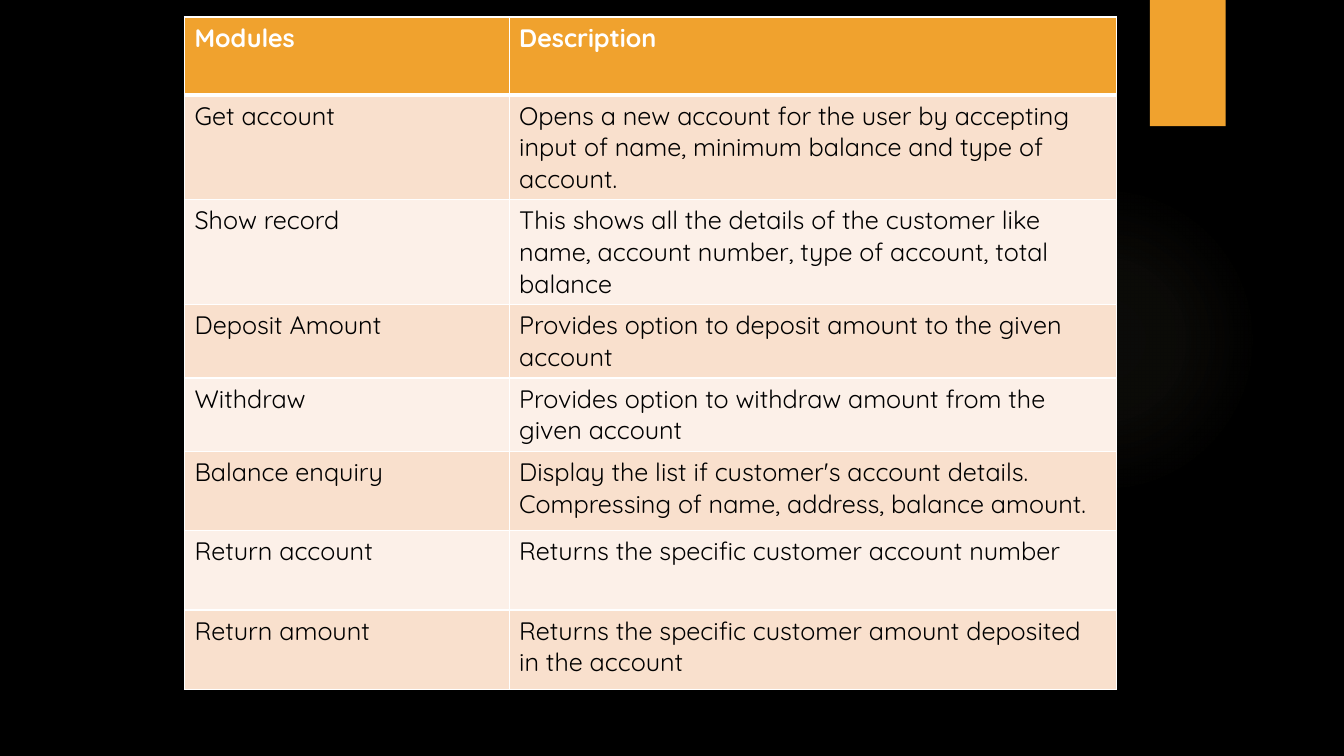
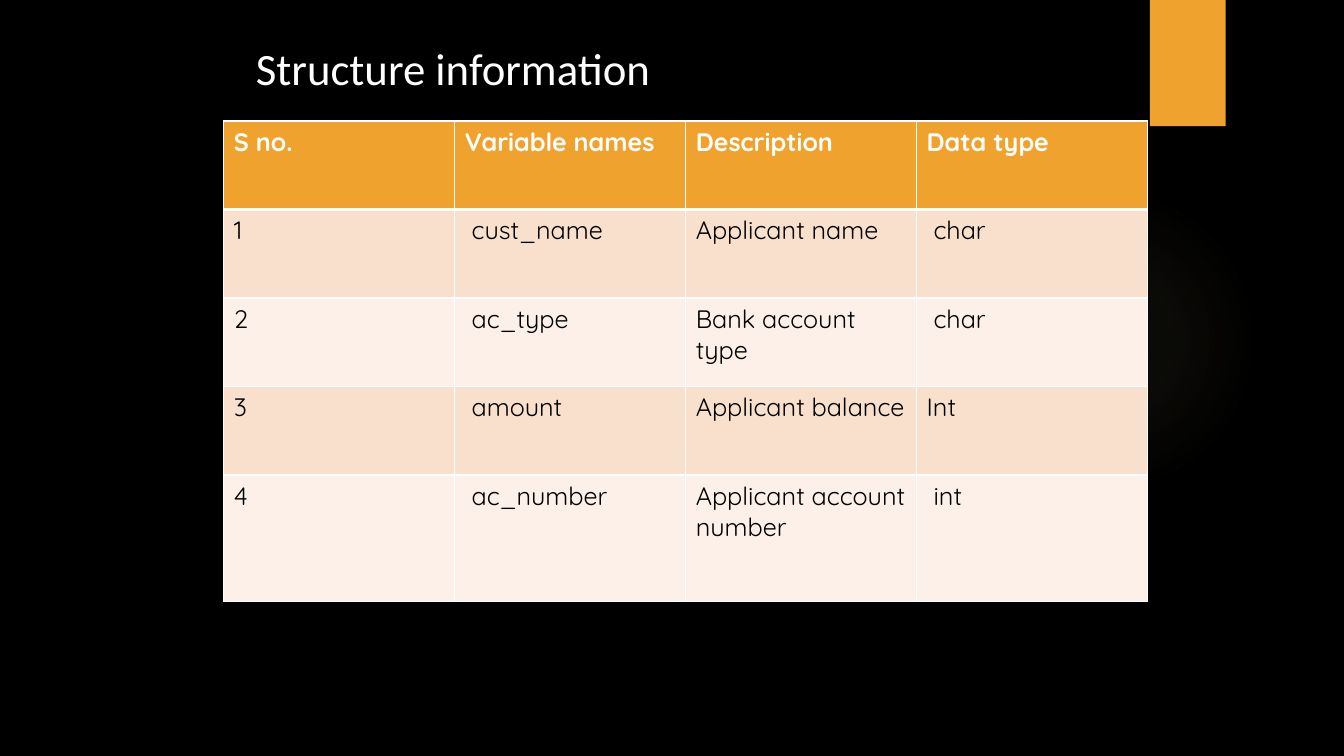
"""Build two slides of bank program tables on a black ground."""
from pptx import Presentation
from pptx.dml.color import RGBColor
from pptx.enum.shapes import MSO_SHAPE as Shape
from pptx.oxml import parse_xml
from pptx.oxml.ns import nsdecls, qn
from pptx.util import Cm, Pt

BLACK = RGBColor(0x00, 0x00, 0x00)
WHITE = RGBColor(0xFF, 0xFF, 0xFF)
GOLD = RGBColor(0xF0, 0xA2, 0x2E)
PEACH = RGBColor(0xF9, 0xE0, 0xCD)
CREAM = RGBColor(0xFC, 0xF0, 0xE8)
TAN = RGBColor(0xA1, 0x95, 0x74)
GLOW = [(0, 7), (36, 6), (69, 0)]

MODULES = [
    ("Modules", "Description"),
    ("Get account", "Opens a new account for the user by accepting input of name, "
     "minimum balance and type of account."),
    ("Show record", "This shows all the details of the customer like name, "
     "account number, type of account, total balance"),
    ("Deposit Amount", "Provides option to deposit amount to the given account"),
    ("Withdraw", "Provides option to withdraw amount from the given account"),
    ("Balance enquiry", "Display the list if customer's account details. "
     "Compressing of name, address, balance amount."),
    ("Return account", "Returns the specific customer account number"),
    ("Return amount", "Returns the specific customer amount deposited in the account"),
]
FIELDS = [
    ("S no.", "Variable names", "Description", "Data type"),
    ("1", " cust_name", "Applicant name", " char"),
    ("2", " ac_type", "Bank account type", " char"),
    ("3", " amount", "Applicant balance", "Int"),
    ("4", " ac_number", "Applicant account number", " int"),
]
SLIDES = [
    dict(title=None, rows=MODULES, left=4.65, top=0.43, widths=[8.18, 15.3],
         heights=[1.96] + [2.39] * 2 + [1.68] * 2 + [2] * 3),
    dict(title="Structure information", rows=FIELDS, left=5.64, top=3.05,
         widths=[5.82] * 4, heights=[2.23] * 4 + [3.18]),
]


def add_plain(slide, kind, *box):
    shape = slide.shapes.add_shape(kind, *map(Cm, box))
    shape.shadow.inherit = False
    shape.line.fill.background()
    return shape


def add_decor(slide):
    glow = add_plain(slide, Shape.OVAL, 23.9, 4.65, 7.82, 7.82)
    glow.fill.background()
    stops = "".join(
        f'<a:gs pos="{pos * 1000}"><a:srgbClr val="{TAN}">'
        f'<a:alpha val="{alpha * 1000}"/></a:srgbClr></a:gs>' for pos, alpha in GLOW)
    grad = parse_xml(
        f'<a:gradFill {nsdecls("a")} rotWithShape="1"><a:gsLst>{stops}</a:gsLst>'
        '<a:path path="circle"><a:fillToRect l="50000" t="50000" r="50000" b="50000"/>'
        '</a:path></a:gradFill>')
    props = glow.fill._xPr
    props.replace(props.find(qn("a:noFill")), grad)
    tab = add_plain(slide, Shape.RECTANGLE, 28.98, 0, 1.91, 3.18)
    tab.fill.solid()
    tab.fill.fore_color.rgb = GOLD


def add_title(slide, text):
    box = slide.shapes.add_textbox(Cm(6.2), Cm(0.91), Cm(16.94), Cm(1.63))
    box.text_frame.word_wrap = True
    para = box.text_frame.paragraphs[0]
    para.text = text
    para.font.name, para.font.size = "Calibri", Pt(32)
    para.font.color.rgb = WHITE


def set_edges(cell, row):
    props = cell._tc.get_or_add_tcPr()
    wide = {(0, "B"), (1, "T")}
    for side in "LRTB":
        size = Pt(3 if (row, side) in wide else 1)
        props.append(parse_xml(
            f'<a:ln{side} {nsdecls("a")} w="{size}"><a:solidFill>'
            f'<a:srgbClr val="{WHITE}"/></a:solidFill></a:ln{side}>'))


def style_cell(cell, text, row):
    set_edges(cell, row)
    cell.fill.solid()
    cell.fill.fore_color.rgb = GOLD if row == 0 else (CREAM, PEACH)[row % 2]
    para = cell.text_frame.paragraphs[0]
    para.text = text
    font = para.font
    font.name, font.size, font.bold = "Quicksand", Pt(18), row == 0
    font.color.rgb = WHITE if row == 0 else BLACK


def add_grid(slide, rows, left, top, widths, heights):
    box = map(Cm, (left, top, sum(widths), sum(heights)))
    table = slide.shapes.add_table(len(rows), len(widths), *box).table
    for col, width in zip(table.columns, widths):
        col.width = Cm(width)
    for r, (line, height) in enumerate(zip(rows, heights)):
        table.rows[r].height = Cm(height)
        for c, text in enumerate(line):
            style_cell(table.cell(r, c), text, r)


deck = Presentation()
deck.slide_width, deck.slide_height = Cm(33.87), Cm(19.05)
ground = deck.slide_master.background.fill
ground.solid()
ground.fore_color.rgb = BLACK
for item in SLIDES:
    slide = deck.slides.add_slide(deck.slide_layouts[6])
    add_decor(slide)
    add_grid(slide, *(item[key] for key in ("rows", "left", "top", "widths", "heights")))
    if item["title"]:
        add_title(slide, item["title"])
deck.save("out.pptx")
